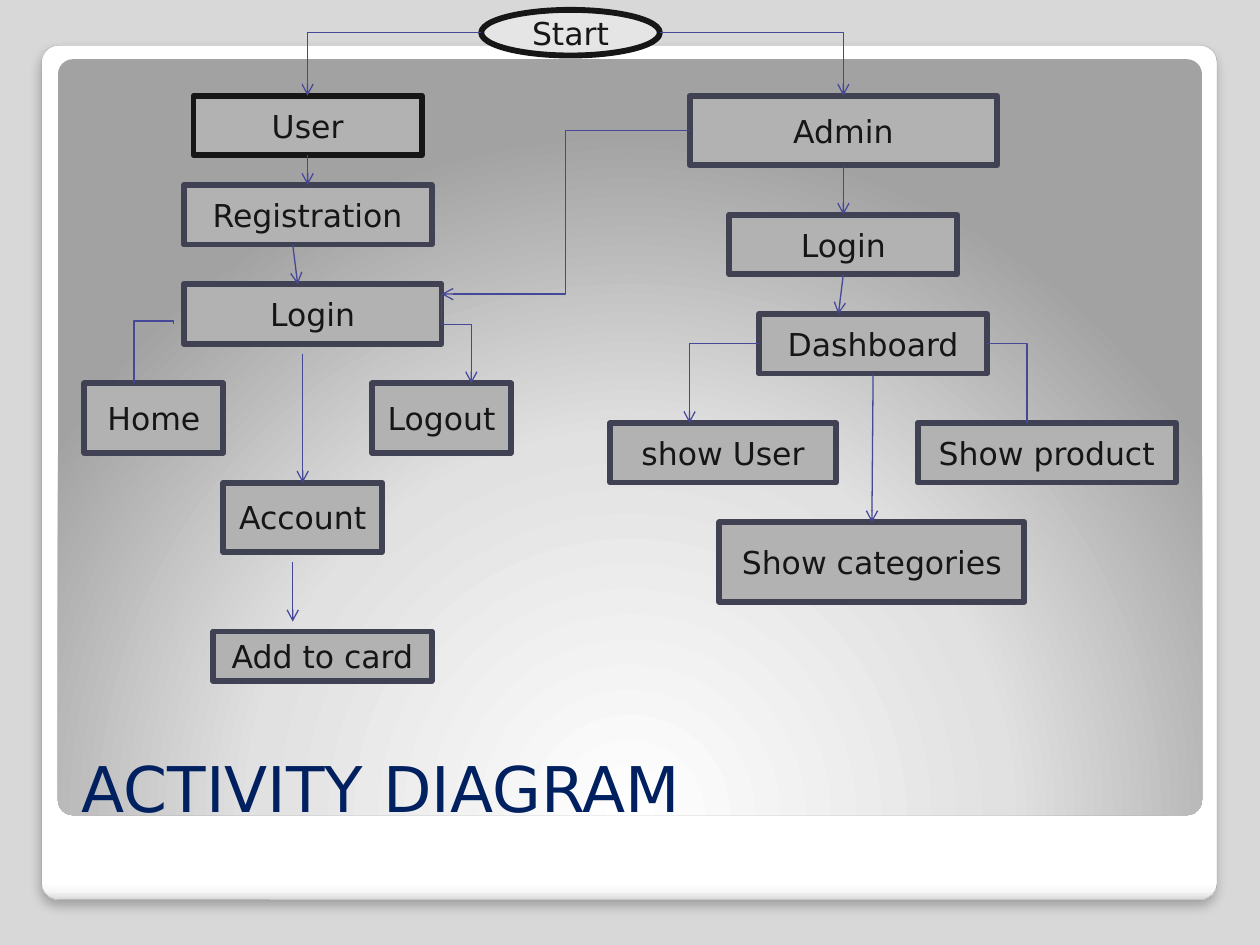
from dataclasses import dataclass

from lxml import etree
from pptx import Presentation, util as u
from pptx.dml.color import RGBColor
from pptx.enum import shapes, text
from pptx.oxml import ns

BACKDROP = RGBColor(0xD8, 0xD8, 0xD8)
CARD_EDGE = RGBColor(0xA4, 0xA4, 0xA4)
WHITE = RGBColor(0xFF, 0xFF, 0xFF)
NEAR_WHITE = RGBColor(0xF7, 0xF7, 0xF7)
CARD_FOOT = RGBColor(0xDA, 0xDA, 0xDA)
GLOW_MID = RGBColor(0xE1, 0xE1, 0xE1)
GLOW_RIM = RGBColor(0xA2, 0xA2, 0xA2)
NAVY = RGBColor(0x00, 0x20, 0x60)
INK = RGBColor(0x16, 0x16, 0x16)
SLATE = RGBColor(0x40, 0x42, 0x53)
BOX_GREY = RGBColor(0xB2, 0xB2, 0xB2)
START_GREY = RGBColor(0xE5, 0xE5, 0xE5)
ARROW_BLUE = RGBColor(0x45, 0x47, 0x98)
FONT = "DejaVu Sans"
CELL = 10 / 127
TOP, BOTTOM = 0, 2


@dataclass
class Grid:
    """Square cells counted from a left and top edge in inches."""
    left: float
    top: float

    def x(self, col):
        return u.Inches(self.left + col * CELL)

    def y(self, row):
        return u.Inches(self.top + row * CELL)

    def shifted(self, col, row):
        return Grid(self.left + col * CELL, self.top + row * CELL)


def add_xml(parent, tag, **attributes):
    element = etree.SubElement(parent, ns.qn(tag))
    for key, value in attributes.items():
        element.set(key, str(value))
    return element


def write(frame, words, size=18, color=INK, align=text.PP_ALIGN.CENTER,
          anchor=text.MSO_ANCHOR.MIDDLE, wrap=False):
    frame.word_wrap = wrap
    frame.auto_size = text.MSO_AUTO_SIZE.NONE
    frame.vertical_anchor = anchor
    paragraph = frame.paragraphs[0]
    paragraph.alignment = align
    run = paragraph.add_run()
    run.text = words
    run.font.name, run.font.size = FONT, u.Pt(size)
    run.font.color.rgb = color


def panel(slide, box, stops):
    """Rounded panel with gradient stops; returns it and its gradient."""
    shape = slide.shapes.add_shape(shapes.MSO_SHAPE.ROUNDED_RECTANGLE,
                                   *(u.Inches(v) for v in box))
    shape.adjustments[0] = 0.02
    shape.shadow.inherit = False
    shape.fill.background()
    properties = shape._element.spPr
    gradient = etree.Element(ns.qn("a:gradFill"), rotWithShape="1")
    properties.replace(properties.find(ns.qn("a:noFill")), gradient)
    stop_list = add_xml(gradient, "a:gsLst")
    for percent, color in stops:
        stop = add_xml(stop_list, "a:gs", pos=percent * 1000)
        add_xml(stop, "a:srgbClr", val=color)
    return shape, gradient


def card(slide, box):
    shape, gradient = panel(slide, box, [(0, WHITE), (98, WHITE),
                                         (99, NEAR_WHITE), (100, CARD_FOOT)])
    add_xml(gradient, "a:lin", ang=90 * 60000, scaled=0)
    shape.line.color.rgb, shape.line.width = CARD_EDGE, u.Pt(0.16)
    effects = shape._element.spPr.find(ns.qn("a:effectLst"))
    shadow = add_xml(effects, "a:outerShdw", blurRad=u.Pt(6), dist=u.Pt(4),
                     dir=90 * 60000, algn="t", rotWithShape=0)
    add_xml(add_xml(shadow, "a:srgbClr", val="000000"), "a:alpha", val=25000)


def glow(slide, box):
    shape, gradient = panel(slide, box, [(0, WHITE), (55, GLOW_MID),
                                         (100, GLOW_RIM)])
    centre = add_xml(gradient, "a:path", path="circle")
    add_xml(centre, "a:fillToRect", l=50000, t=175000, r=50000, b=-75000)
    shape.line.fill.background()


def heading(slide, box):
    title = slide.shapes.title
    title.left, title.top, title.width, title.height = map(u.Inches, box)
    write(title.text_frame, "ACTIVITY DIAGRAM", size=36, color=NAVY, wrap=True,
          align=text.PP_ALIGN.LEFT, anchor=text.MSO_ANCHOR.BOTTOM)
    slide.shapes._spTree.append(title._element)


def step(slide, grid, words, col, row, cols, rows=6, edge=SLATE, fill=BOX_GREY,
         outline=shapes.MSO_SHAPE.RECTANGLE):
    shape = slide.shapes.add_shape(outline, grid.x(col), grid.y(row),
                                   u.Inches(cols * CELL), u.Inches(rows * CELL))
    shape.shadow.inherit = False
    shape.fill.solid()
    shape.fill.fore_color.rgb = fill
    shape.line.color.rgb, shape.line.width = edge, u.Pt(3.35)
    write(shape.text_frame, words)
    return shape


def style_link(link, arrow):
    link.line.color.rgb, link.line.width = ARROW_BLUE, u.Pt(0.75)
    if arrow:
        add_xml(link.line._get_or_add_ln(), "a:tailEnd", type="arrow")
    add_xml(link._element.spPr, "a:effectLst")


def straight(slide, grid, start, end, source=None, target=None):
    """Arrow between two cells, joined to the boxes it meets midway."""
    link = slide.shapes.add_connector(
        shapes.MSO_CONNECTOR.STRAIGHT, grid.x(start[0]), grid.y(start[1]),
        grid.x(end[0]), grid.y(end[1]))
    if source is not None:
        link.begin_connect(source, BOTTOM)
    if target is not None:
        link.end_connect(target, TOP)
    style_link(link, arrow=True)


def elbow(slide, grid, start, end, bend=None, upright=False, arrow=True):
    """Bent link: one corner, or two at the share bend; upright leaves vertically."""
    (x1, y1), (x2, y2) = start, end
    if upright:
        mid_x, mid_y = (x1 + x2) / 2, (y1 + y2) / 2
        half_x, half_y = (x2 - x1) / 2, (y2 - y1) / 2
        x1, x2 = mid_x - half_y, mid_x + half_y
        y1, y2 = mid_y + half_x, mid_y - half_x
    link = slide.shapes.add_connector(shapes.MSO_CONNECTOR.ELBOW, grid.x(x1),
                                      grid.y(y1), grid.x(x2), grid.y(y2))
    properties = link._element.spPr
    if upright:
        properties.find(ns.qn("a:xfrm")).set("rot", str(90 * 60000))
    geometry = properties.find(ns.qn("a:prstGeom"))
    if bend is None:
        geometry.set("prst", "bentConnector2")
    else:
        add_xml(geometry.find(ns.qn("a:avLst")), "a:gd", name="adj1",
                fmla=f"val {round(bend * 100000)}")
    style_link(link, arrow)


def user_flow(slide, grid):
    user = step(slide, grid, "User", 11, 0, 23, edge=INK)
    registration = step(slide, grid, "Registration", 10, 9, 25)
    step(slide, grid, "Login", 10, 19, 26)
    step(slide, grid, "Home", 0, 29, 14, 7)
    account = step(slide, grid, "Account", 14, 39, 16, 7)
    step(slide, grid, "Logout", 29, 29, 14, 7)
    step(slide, grid, "Add to card", 13, 54, 22, 5)
    straight(slide, grid, (22.5, 6), (22.5, 9), user, registration)
    straight(slide, grid, (21, 15), (21.5, 19))
    straight(slide, grid, (22, 26), (22, 39), target=account)
    straight(slide, grid, (21, 47), (21, 53))
    elbow(slide, grid, (36, 20), (39, 29), bend=0.34, upright=True)
    elbow(slide, grid, (9, 23), (5, 29), bend=-0.05, upright=True, arrow=False)


def admin_flow(slide, grid):
    admin = step(slide, grid, "Admin", 8, 0, 31, 7)
    login = step(slide, grid, "Login", 12, 12, 23)
    dashboard = step(slide, grid, "Dashboard", 15, 22, 23)
    step(slide, grid, "show User", 0, 33, 22.75)
    step(slide, grid, "Show product", 31, 33, 26)
    categories = step(slide, grid, "Show categories", 11, 43, 30.75, 8)
    straight(slide, grid, (23.5, 7), (23.5, 12), admin, login)
    straight(slide, grid, (23.5, 18), (23, 22), source=login)
    straight(slide, grid, (26.5, 28), (26.5, 43), dashboard, categories)
    elbow(slide, grid, (38, 25), (42, 33), arrow=False)
    elbow(slide, grid, (15, 25), (8, 33))


def start_links(slide, grid):
    """Start oval, its two branches and the link from Admin to the user login."""
    elbow(slide, grid, (61, 3.5), (36, 20), bend=0.5)
    step(slide, grid, "Start", 40, -8.65, 18, 4.6, edge=INK, fill=START_GREY,
         outline=shapes.MSO_SHAPE.OVAL)
    elbow(slide, grid, (40, -6.35), (22.5, 0))
    elbow(slide, grid, (58, -6.35), (76.5, 0))


def main():
    deck = Presentation()
    deck.slide_width, deck.slide_height = u.Inches(10), u.Inches(7.5)
    slide = deck.slides.add_slide(deck.slide_layouts[5])
    slide.background.fill.solid()
    slide.background.fill.fore_color.rgb = BACKDROP
    card(slide, (0.33, 0.36, 9.33, 6.78))
    glow(slide, (0.46, 0.47, 9.08, 6))
    heading(slide, (0.55, 5.45, 8.95, 1.15))
    diagram = Grid(0.67, 0.76)
    user_flow(slide, diagram)
    admin_flow(slide, diagram.shifted(53, 0))
    start_links(slide, diagram)
    deck.save("out.pptx")


if __name__ == "__main__":
    main()
